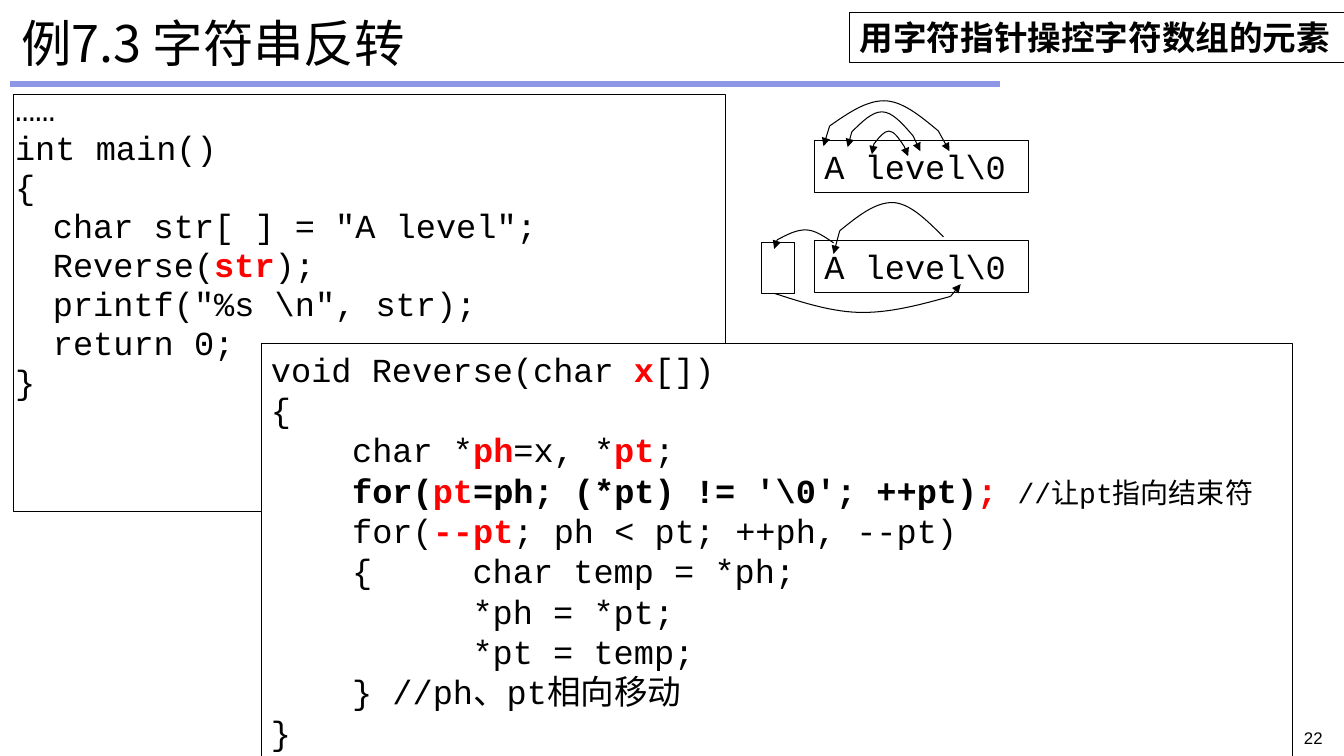
from lxml import etree
from pptx import Presentation
from pptx import util as u
from pptx.dml import color
from pptx.enum import shapes, text
from pptx.oxml import ns

Pt = u.Pt
BLACK = color.RGBColor(0x00, 0x00, 0x00)
WHITE = color.RGBColor(0xFF, 0xFF, 0xFF)
RED = color.RGBColor(0xFF, 0x00, 0x00)
BLUE = color.RGBColor(0x8D, 0x97, 0xE5)
CODE, HAN, SANS = "Courier New", "Noto Sans CJK SC", "Arial"
HOT = dict(tint=RED, bold=True)


def style(run, size=24, font=CODE, tint=BLACK, bold=False):
    """Format one run, with a CJK font for Chinese characters."""
    run.font.size, run.font.name, run.font.bold = Pt(size), font, bold
    run.font.color.rgb = tint
    east = etree.SubElement(run.font._element, ns.qn("a:ea"))
    east.set("typeface", HAN)


def write(frame, lines, align=text.PP_ALIGN.LEFT, left=None, space=None,
          before=None, **look):
    """Fill a frame; each line is (indent, run, run, ...)."""
    for n, (first, *runs) in enumerate(lines):
        para = frame.paragraphs[0] if n == 0 else frame.add_paragraph()
        para.alignment = align
        props = para._p.get_or_add_pPr()
        props.set("marL", str(Pt(first if left else 0)))
        props.set("indent", str(Pt(0 if left else first)))
        if space:
            para.line_spacing = space
        if before:
            para.space_before = Pt(before)
        for item in runs:
            words, extra = item if isinstance(item, tuple) else (item, {})
            run = para.add_run()
            run.text = words
            style(run, **{**look, **extra})


class Board:
    """Holds the line style and the current slide."""

    def __init__(self, slide, ink=BLACK, width=0.75):
        self.slide, self.ink, self.width = slide, ink, width
        self.items = slide.shapes

    def title(self, words, x, y, w, h):
        hold = self.items.title
        hold.left, hold.top, hold.width, hold.height = map(Pt, (x, y, w, h))
        hold.text_frame.vertical_anchor = text.MSO_ANCHOR.MIDDLE
        write(hold.text_frame, [(0, words)], size=36, font=HAN)

    def label(self, words, x, y, w, h, **look):
        frame = self.items.add_textbox(*map(Pt, (x, y, w, h))).text_frame
        frame.word_wrap = True
        write(frame, [(0, words)], **look)

    def box(self, x, y, w, h, lines=(), fill=None, pad=None, wrap=True,
            grow=False, **look):
        rect = self.items.add_shape(shapes.MSO_SHAPE.RECTANGLE,
                                    *map(Pt, (x, y, w, h)))
        self.trim(rect, fill)
        frame = rect.text_frame
        frame.word_wrap = wrap
        frame.vertical_anchor = text.MSO_ANCHOR.TOP
        if grow:
            frame.auto_size = text.MSO_AUTO_SIZE.SHAPE_TO_FIT_TEXT
        if pad:
            frame.margin_left = frame.margin_right = Pt(pad[0])
            frame.margin_top = frame.margin_bottom = Pt(pad[1])
        write(frame, lines, **look)

    def trim(self, shape, fill=None):
        shape.shadow.inherit = False
        shape.line.color.rgb, shape.line.width = self.ink, Pt(self.width)
        if fill is None:
            shape.fill.background()
        else:
            shape.fill.solid()
            shape.fill.fore_color.rgb = fill

    def line(self, start, end, tint=None, width=None, arrow=False):
        link = self.items.add_connector(shapes.MSO_CONNECTOR.STRAIGHT,
                                        *map(Pt, (*start, *end)))
        link.line.color.rgb = tint or self.ink
        link.line.width = Pt(width or self.width)
        if arrow:
            tip = etree.SubElement(link.line._get_or_add_ln(),
                                   ns.qn("a:tailEnd"))
            tip.set("type", "triangle")
        etree.SubElement(link._element.spPr, ns.qn("a:effectLst"))

    def arc(self, start, peak, end, head, tail=None):
        """Draw a curve over its peak, with arrows on from its ends."""
        self.line(start, head, arrow=True)
        if tail:
            self.line(end, tail, arrow=True)
        dots = [*grips(start, peak), peak, *grips(end, peak)[::-1], end]
        pen = self.items.build_freeform(Pt(start[0]), Pt(start[1]))
        pen.add_line_segments([(Pt(x), Pt(y)) for x, y in dots], close=False)
        shape = pen.convert_to_shape()
        bend(shape)
        self.trim(shape)


def grips(foot, peak):
    """Control points of a curve that leaves foot and is level at peak."""
    (x, y), (px, py) = foot, peak
    third = (px - x) / 3
    return [(x + third, (y + py) / 2), (x + 2 * third, py)]


def bend(shape):
    """Turn each three line segments into one cubic curve."""
    steps = list(shape._element.iter(ns.qn("a:lnTo")))
    for n in range(0, len(steps), 3):
        cubic = etree.Element(ns.qn("a:cubicBezTo"))
        steps[n].addprevious(cubic)
        for step in steps[n:n + 3]:
            cubic.append(step[0])
            step.getparent().remove(step)


def main():
    deck = Presentation()
    deck.slide_width, deck.slide_height = Pt(960), Pt(540)
    board = Board(deck.slides.add_slide(deck.slide_layouts[5]))

    # Heading, rule and page number
    board.line((7.2, 60.2), (714.2, 60.2), tint=BLUE, width=4.5)
    board.title("例7.3 字符串反转", 7.9, 5.8, 944, 48.2)
    board.label("22", 857.5, 516.2, 94.3, 18, size=12, font=SANS,
                align=text.PP_ALIGN.RIGHT)

    # Calling program
    board.box(9.4, 67.7, 509, 298, [
        (0, "……"),
        (0, "int main()"),
        (0, "{"),
        (27, 'char str[ ] = "A level";'),
        (27, "Reverse(", ("str", HOT), ");"),
        (27, 'printf("%s \\n", str);'),
        (27, "return 0;"),
        (0, "}"),
    ], pad=(1.4, 0.7), left=True, space=0.8, before=4.8)

    # Reverse function
    tab, deep = 58, 144
    bold = dict(bold=True)
    board.box(186.5, 245.4, 736.6, 298, [
        (0, "void Reverse(char ", ("x", HOT), "[])"),
        (0, "{"),
        (tab, "char *", ("ph", HOT), "=x, *", ("pt", HOT), ";"),
        (tab, ("for(", bold), ("pt", HOT),
         ("=ph; (*pt) != '\\0'; ++pt)", bold), ("; ", HOT),
         ("//让pt指向结束符", dict(size=20))),
        (tab, "for(", ("--pt", HOT), "; ph < pt; ++ph, --pt)"),
        (tab, "{\t\tchar temp = *ph;"),
        (deep, "*ph = *pt;"),
        (deep, "*pt = temp;"),
        (tab, "} //ph、pt相向移动"),
        (0, "}"),
    ], fill=WHITE, grow=True)

    # Strings in memory and the spare cell
    for top in (172, 100.6):
        board.box(581.8, top, 153, 36.8, [(0, "A level\\0")],
                  grow=True, before=12)
    board.box(543.8, 173, 23.6, 36.6)

    # Pairs to be swapped
    board.arc((592.6, 90), (631.4, 72), (670.3, 93.6),
              (588.2, 104.4), (678.2, 108))
    board.arc((608.4, 94.3), (630, 79.9), (652.3, 97.2),
              (605.5, 105.1), (657.4, 108))
    board.arc((624.2, 103), (635, 93.6), (645.8, 104.4),
              (622.8, 110.2), (648.7, 111.6))

    # Three moves of one swap
    board.arc((555.1, 171.4), (575.3, 164.2), (595.4, 173.5), (553, 177.8))
    board.arc((679, 211.7), (616.3, 223.2), (553, 209.5), (686.2, 203))
    board.arc((599.8, 164.9), (637.2, 144.7), (673.9, 169.2), (595.4, 181.4))

    # Topic label
    board.box(607, 8.8, 353.5, 36, [(0, "用字符指针操控字符数组的元素")],
              wrap=False, grow=True, font=SANS, bold=True)

    deck.save("out.pptx")


if __name__ == "__main__":
    main()
